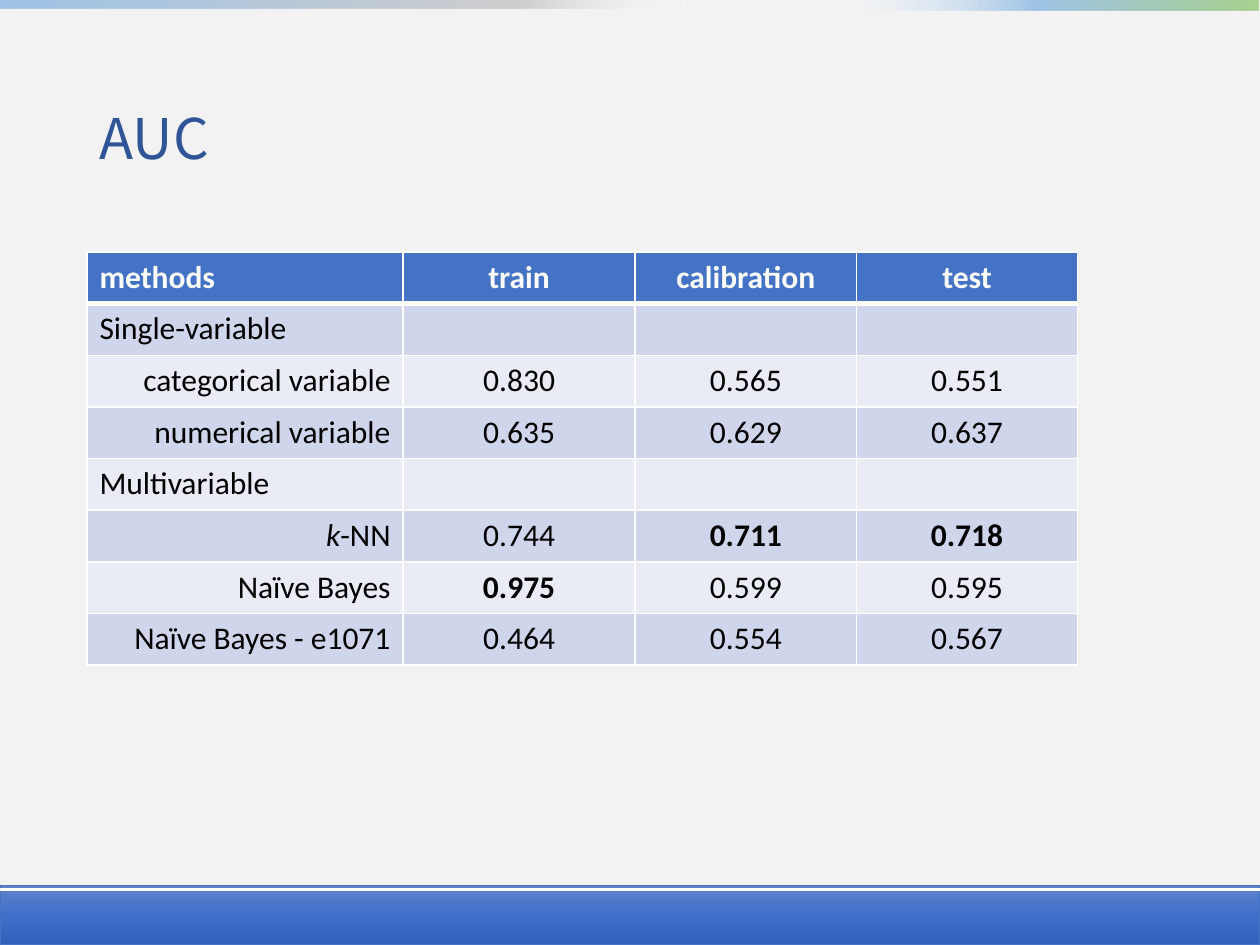
"""Build the AUC comparison slide: title, results table and decorative bands."""
import lxml.etree
import pptx
import pptx.dml.color
import pptx.enum.shapes
import pptx.enum.text
import pptx.oxml.ns
import pptx.util

Inches, Pt, qn = pptx.util.Inches, pptx.util.Pt, pptx.oxml.ns.qn
SubElement = lxml.etree.SubElement
ALIGN = pptx.enum.text.PP_ALIGN


def rgb(value):
    return pptx.dml.color.RGBColor.from_string(value)


def add_text(p, text, size=18, font="Calibri", color="000000", bold=False, italic=False, align=ALIGN.LEFT):
    p.alignment = align
    r = p.add_run()
    r.text = text
    r.font.size, r.font.name = Pt(size), font
    r.font.bold, r.font.italic = bold, italic
    r.font.color.rgb = rgb(color)


prs = pptx.Presentation()
prs.slide_width, prs.slide_height = Inches(10), Inches(7.5)
s = prs.slides.add_slide(prs.slide_layouts[5])
s.background.fill.solid()
s.background.fill.fore_color.rgb = rgb("F2F2F2")

bands = [
    ((0, 7.03, 10, 0.47), 270, "4472C4", [(0, "6183CB", 100), (50, "3E70CA", 100), (100, "3062BB", 100)]),
    ((6.48, 0, 3.51, 0.08), 0, None, [(0, "FFFFFF", 0), (50, "9DC3E6", 100), (100, "A9D18E", 100)]),
    ((-0.02, -0.05, 5.56, 0.12), 0, None, [(0, "9DC3E6", 100), (75, "D0CECE", 100), (100, "FFFFFF", 0)]),
]
for box, angle, outline, stops in bands:
    sp = s.shapes.add_shape(pptx.enum.shapes.MSO_SHAPE.RECTANGLE, *map(Inches, box))
    sp.shadow.inherit = False
    sp.fill.gradient()
    sp.fill.gradient_angle = angle
    gs_list = sp._element.spPr.find(".//" + qn("a:gsLst"))
    gs_list.clear()
    for position, color, opacity in stops:
        gs = SubElement(gs_list, qn("a:gs"), pos=str(position * 1000))
        clr = SubElement(gs, qn("a:srgbClr"), val=color)
        if opacity < 100:
            SubElement(clr, qn("a:alpha"), val=str(opacity * 1000))
    if outline:
        sp.line.color.rgb = rgb(outline)
        sp.line.width = Pt(0.5)
    else:
        sp.line.fill.background()

rule = s.shapes.add_connector(
    pptx.enum.shapes.MSO_CONNECTOR.STRAIGHT, Inches(0), Inches(7.06), Inches(10), Inches(7.06))
rule.line.color.rgb = rgb("FFFFFF")
rule.line.width = Pt(1.5)
SubElement(rule._element.spPr, qn("a:effectLst"))

title = s.shapes.title
title.left, title.top, title.width, title.height = map(Inches, (0.69, 0.4, 8.62, 1.45))
tf = title.text_frame
tf.vertical_anchor = pptx.enum.text.MSO_ANCHOR.MIDDLE
tf.paragraphs[0].line_spacing = 0.9
add_text(tf.paragraphs[0], "AUC", size=32, font="Noto Sans CJK TC", color="2F5597")

rows = [
    ("methods", "train", "calibration", "test"),
    ("Single-variable", "", "", ""),
    ("categorical variable", "0.830", "0.565", "0.551"),
    ("numerical variable", "0.635", "0.629", "0.637"),
    ("Multivariable", "", "", ""),
    ("k-NN", "0.744", "0.711", "0.718"),
    ("Naïve Bayes", "0.975", "0.599", "0.595"),
    ("Naïve Bayes - e1071", "0.464", "0.554", "0.567"),
]
best = {"0.975", "0.711", "0.718"}
widths = [2.51, 1.84, 1.76, 1.75]
row_height = 0.41
table = s.shapes.add_table(
    len(rows), len(widths), Inches(0.69), Inches(2),
    Inches(sum(widths)), Inches(row_height * len(rows))).table
for column, width in zip(table.columns, widths):
    column.width = Inches(width)

for i, values in enumerate(rows):
    table.rows[i].height = Inches(row_height)
    header = i == 0
    group = not any(values[1:])
    for j, value in enumerate(values):
        cell = table.cell(i, j)
        for side in "LRTB":
            thick = (i, side) in ((0, "B"), (1, "T"))
            ln = SubElement(cell._tc.get_or_add_tcPr(), qn("a:ln" + side), w=str(Pt(3 if thick else 1)))
            SubElement(SubElement(ln, qn("a:solidFill")), qn("a:srgbClr"), val="FFFFFF")
        cell.fill.solid()
        cell.fill.fore_color.rgb = rgb("4472C4" if header else "CFD5EA" if i % 2 else "E9EBF5")
        if not value:
            continue
        align = ALIGN.CENTER if j else ALIGN.LEFT if header or group else ALIGN.RIGHT
        p = cell.text_frame.paragraphs[0]
        if value == "k-NN":
            add_text(p, "k", italic=True, align=align)
            value = "-NN"
        add_text(p, value, color="FFFFFF" if header else "000000", bold=header or value in best, align=align)

prs.save("out.pptx")
